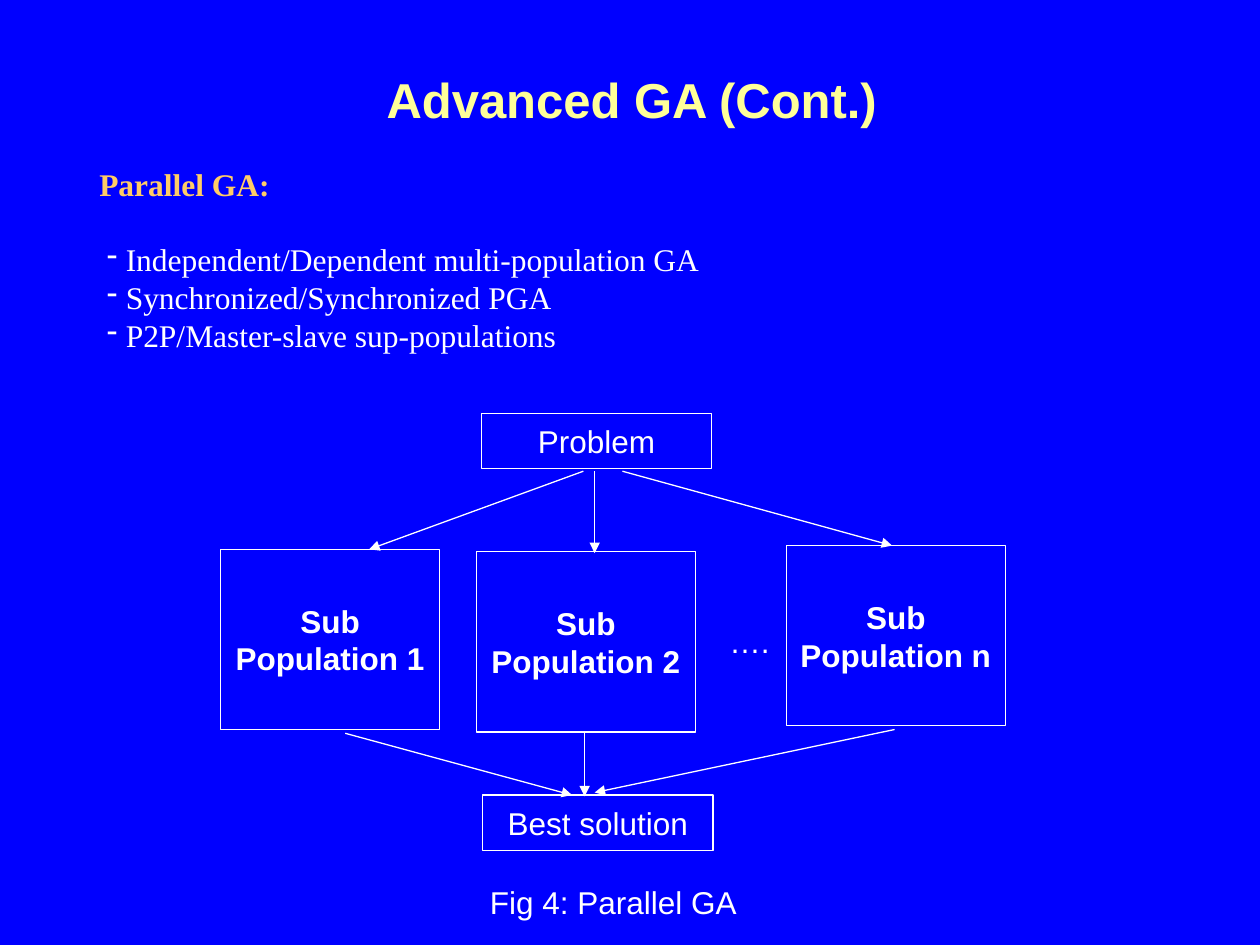
import pptx
import pptx.dml.color
import pptx.enum.shapes
import pptx.enum.text
import pptx.oxml
import pptx.oxml.ns
import pptx.util
from pptx.util import Inches

COLORS = {
    "background": "0000FF",
    "white": "FFFFFF",
    "title": "FFFF99",
    "heading": "FFCC66",
}
ALIGN = pptx.enum.text.PP_ALIGN
ANCHOR = pptx.enum.text.MSO_ANCHOR


def rgb(name):
    return pptx.dml.color.RGBColor.from_string(COLORS[name])


def format_paragraph(paragraph, size=18, font="Arial", color="white", bold=False,
                     align=ALIGN.LEFT):
    paragraph.alignment = align
    for run in paragraph.runs:
        run.font.size = pptx.util.Pt(size)
        run.font.name = font
        run.font.bold = bold
        run.font.color.rgb = rgb(color)


def indent(paragraph, left, hanging=0):
    properties = paragraph._p.get_or_add_pPr()
    properties.set("marL", str(Inches(left)))
    properties.set("indent", str(-Inches(hanging)))
    return properties


def add_dash_bullet(paragraph):
    properties = indent(paragraph, 0.27, 0.15)
    bullet = pptx.oxml.parse_xml(
        f'<a:buChar {pptx.oxml.ns.nsdecls("a")} char="-"/>')
    properties.append(bullet)


def add_label(slide, text, left, top, width, height, **style):
    """Add a single line of text that does not wrap."""
    box = slide.shapes.add_textbox(
        Inches(left), Inches(top), Inches(width), Inches(height))
    box.text_frame.word_wrap = False
    box.text_frame.text = text
    format_paragraph(box.text_frame.paragraphs[0], **style)


def add_outline(slide, heading, items):
    box = slide.shapes.add_textbox(
        Inches(0.63), Inches(1.26), Inches(8.9), Inches(1.6))
    frame = box.text_frame
    frame.word_wrap = True
    frame.text = "\n".join([heading, *items])
    first, *bullets = frame.paragraphs
    format_paragraph(first, font="Times New Roman", color="heading", bold=True)
    indent(first, 0.06)
    for paragraph in bullets:
        format_paragraph(paragraph, font="Times New Roman")
        add_dash_bullet(paragraph)
    bullets[0].space_before = pptx.util.Pt(21.5)


def add_box(slide, text, left, top, width, height, bold=False):
    box = slide.shapes.add_shape(
        pptx.enum.shapes.MSO_SHAPE.RECTANGLE,
        Inches(left), Inches(top), Inches(width), Inches(height))
    box.shadow.inherit = False
    box.fill.background()
    box.line.color.rgb = rgb("white")
    box.line.width = pptx.util.Pt(0.75)
    frame = box.text_frame
    frame.word_wrap = False
    frame.vertical_anchor = ANCHOR.MIDDLE
    frame.text = text
    for paragraph in frame.paragraphs:
        format_paragraph(paragraph, bold=bold, align=ALIGN.CENTER)


def add_arrow(slide, start, end):
    arrow = slide.shapes.add_connector(
        pptx.enum.shapes.MSO_CONNECTOR.STRAIGHT,
        *(Inches(value) for value in (*start, *end)))
    arrow.line.color.rgb = rgb("white")
    arrow.line.width = pptx.util.Pt(0.75)
    namespace = pptx.oxml.ns.nsdecls("a")
    arrow.line._get_or_add_ln().append(
        pptx.oxml.parse_xml(f'<a:tailEnd {namespace} type="triangle"/>'))
    arrow._element.spPr.append(pptx.oxml.parse_xml(f"<a:effectLst {namespace}/>"))


def main():
    presentation = pptx.Presentation()
    presentation.slide_width = Inches(10)
    presentation.slide_height = Inches(7.5)
    slide = presentation.slides.add_slide(presentation.slide_layouts[6])
    slide.background.fill.solid()
    slide.background.fill.fore_color.rgb = rgb("background")

    add_outline(slide, "Parallel GA:", [
        "Independent/Dependent multi-population GA",
        "Synchronized/Synchronized PGA",
        "P2P/Master-slave sup-populations",
    ])
    add_label(slide, "Advanced GA (Cont.)", 2.97, 0.5, 4.1, 0.57,
              size=28, color="title", bold=True)

    for number, left, top in [("1", 1.75, 4.36), ("2", 3.78, 4.38), ("n", 6.24, 4.33)]:
        add_box(slide, f"Sub\nPopulation {number}", left, top, 1.74, 1.43, bold=True)
    add_label(slide, "….", 5.69, 4.89, 0.52, 0.4)

    add_box(slide, "Problem", 3.82, 3.28, 1.83, 0.44)
    add_box(slide, "Best solution", 3.83, 6.31, 1.83, 0.44)

    arrows = [
        ((4.63, 3.74), (2.93, 4.36)),
        ((4.72, 3.74), (4.72, 4.39)),
        ((4.94, 3.74), (7.08, 4.33)),
        ((2.74, 5.82), (4.54, 6.31)),
        ((4.64, 5.82), (4.64, 6.32)),
        ((7.1, 5.79), (4.72, 6.29)),
    ]
    for start, end in arrows:
        add_arrow(slide, start, end)

    add_label(slide, "Fig 4: Parallel GA", 3.79, 6.96, 2.16, 0.4)
    presentation.save("out.pptx")


if __name__ == "__main__":
    main()
